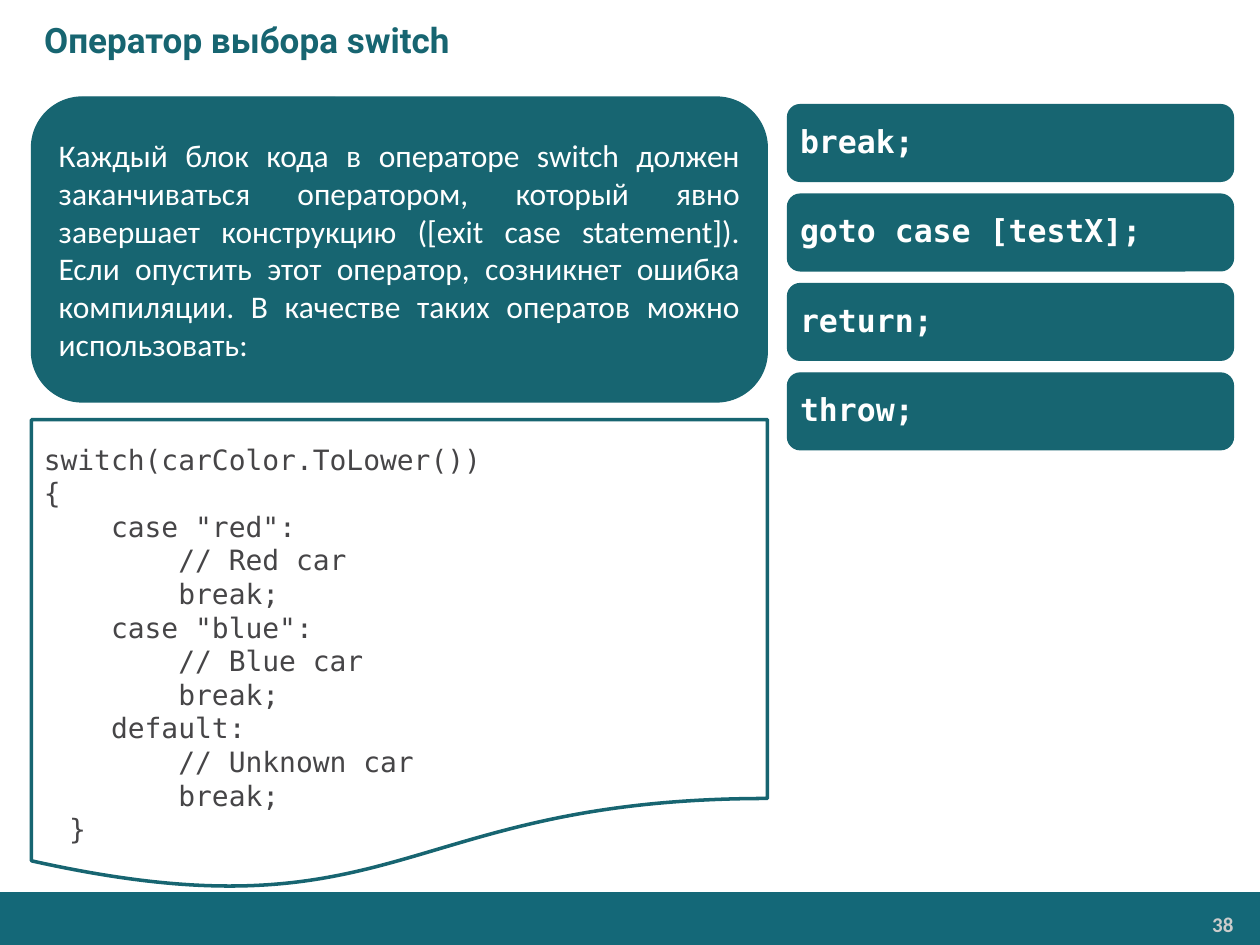
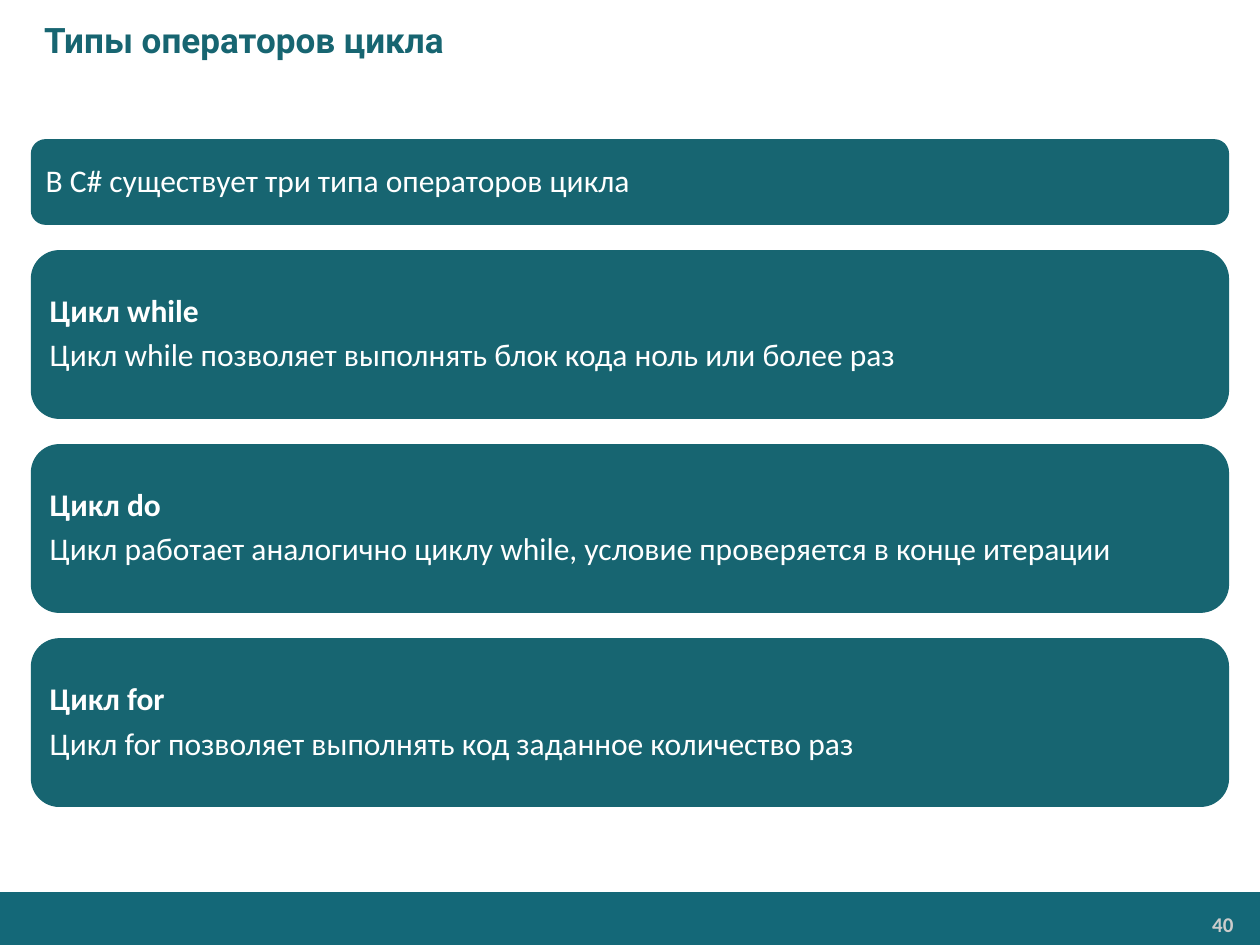
from pptx import Presentation
from pptx.dml.color import RGBColor
from pptx.enum.shapes import MSO_SHAPE as Shape
from pptx.enum.text import MSO_ANCHOR as Anchor, MSO_AUTO_SIZE as Fit, PP_ALIGN as Align
from pptx.util import Inches, Pt

TEAL, BAND, WHITE, GREY, DARK = "176571", "146878", "FFFFFF", "CCCCCC", "464547"
MONO = "DejaVu Sans Mono"
LEFT, STEP = 0.25, 0.2

CODE = """switch(carColor.ToLower())
{
    case "red":
        // Red car
        break;
    case "blue":
        // Blue car
        break;
    default:
        // Unknown car
        break;
}"""
RULE = ("Каждый блок кода в операторе switch должен заканчиваться оператором, "
        "который явно завершает конструкцию ([exit case statement]). Если опустить "
        "этот оператор, созникнет ошибка компиляции. В качестве таких оператов "
        "можно использовать:")
EXITS = ["break;", "goto case [testX];", "return;", "throw;"]
LOOPS = [
    ("Цикл while", "Цикл while позволяет выполнять блок кода ноль или более раз"),
    ("Цикл do", "Цикл работает аналогично циклу while, условие проверяется в конце итерации"),
    ("Цикл for", "Цикл for позволяет выполнять код заданное количество раз"),
]


def tint(code):
    """Turn a hex string into a colour."""
    return RGBColor.from_string(code)


def apply(item, values):
    """Set each named value on an item."""
    for name, value in values.items():
        setattr(item, name, value)


class Deck:
    """Hold the shared style and the current slide."""

    def __init__(self):
        """Start an empty deck."""
        self.prs = Presentation()
        apply(self.prs, {"slide_width": Inches(10), "slide_height": Inches(7.5)})

    def page(self, title, number):
        """Add a slide with its title, band and number."""
        self.slide = self.prs.slides.add_slide(self.prs.slide_layouts[5])
        head = self.slide.shapes.title
        apply(head, {"left": 0, "top": 0, "width": Inches(10), "height": Inches(0.63)})
        self.label(head, [title], font="Roboto", size=20, color=TEAL, bold=1,
                   pads=(0.35, 0.05, 0.1, 0.05))
        self.block(Shape.RECTANGLE, (0, 7.08, 10, 0.42), BAND)
        box = self.slide.shapes.add_textbox(*map(Inches, (8.23, 7.19, 1.63, 0.28)))
        self.label(box, [str(number)], size=12, color=GREY, bold=1, align=Align.RIGHT,
                   anchor=Anchor.TOP, pads=(0.07, 0.04, 0.07, 0.04))

    def label(self, shape, lines, font="Calibri", size=18, color=WHITE, bold=0,
              align=Align.LEFT, anchor=Anchor.MIDDLE, pads=(0.1, 0.05, 0.1, 0.05), **extra):
        """Fill a shape with paragraphs, the first few of them bold."""
        frame = shape.text_frame
        frame.text = "\n".join(lines)
        apply(frame, {"word_wrap": True, "auto_size": Fit.NONE, "vertical_anchor": anchor})
        sides = ("margin_left", "margin_top", "margin_right", "margin_bottom")
        apply(frame, dict(zip(sides, map(Inches, pads))))
        for rank, para in enumerate(frame.paragraphs):
            apply(para, {"alignment": align, **extra})
            apply(para.font, {"name": font, "size": Pt(size), "bold": rank < bold})
            para.font.color.rgb = tint(color)
        return frame

    def block(self, kind, area, fill, edge=None, width=0.75):
        """Draw a filled preset shape."""
        shape = self.slide.shapes.add_shape(kind, *map(Inches, area))
        shape.shadow.inherit = False
        shape.fill.solid()
        shape.fill.fore_color.rgb = tint(fill)
        if edge:
            shape.line.color.rgb = tint(edge)
            shape.line.width = Pt(width)
        else:
            shape.line.fill.background()
        return shape

    def card(self, area, lines, **style):
        """Draw a rounded teal card with text."""
        self.label(self.block(Shape.ROUNDED_RECTANGLE, area, TEAL, TEAL), lines, **style)

    def panel(self, area, lines, pad, **style):
        """Draw a card with tight, spaced lines."""
        self.card(area, lines, pads=(pad,) * 4, line_spacing=0.9, space_after=Pt(6), **style)

    def code(self, area, text):
        """Draw a document shape with a code listing."""
        sheet = self.block(Shape.FLOWCHART_DOCUMENT, area, WHITE, TEAL, 2)
        frame = self.label(sheet, text.split("\n"), font=MONO, size=16, color=DARK,
                           anchor=Anchor.TOP, pads=(0.1, 0.18, 0.1, 0))
        last = frame.paragraphs[-1]._p.get_or_add_pPr()
        last.set("marL", str(Inches(STEP)))


def main():
    """Build both slides."""
    deck = Deck()
    deck.page("Оператор выбора switch", 38)
    deck.card((LEFT, 0.77, 5.84, 2.42), [RULE], align=Align.JUSTIFY)
    for row, text in enumerate(EXITS):
        deck.panel((6.25, 0.83 + row * 0.71, 3.54, 0.61), [text], 0.07, font=MONO, bold=1)
    deck.code((LEFT, 3.33, 5.84, 3.75), CODE)

    deck.page("Типы операторов цикла", 40)
    deck.panel((LEFT, 1.11, 9.5, 0.67), ["В C# существует три типа операторов цикла"],
               0.08, align=Align.JUSTIFY)
    for row, lines in enumerate(LOOPS):
        deck.panel((LEFT, 1.99 + row * 1.54, 9.5, 1.33), lines, 0.08, bold=1,
                   align=Align.JUSTIFY)
    deck.prs.save("out.pptx")


if __name__ == "__main__":
    main()
